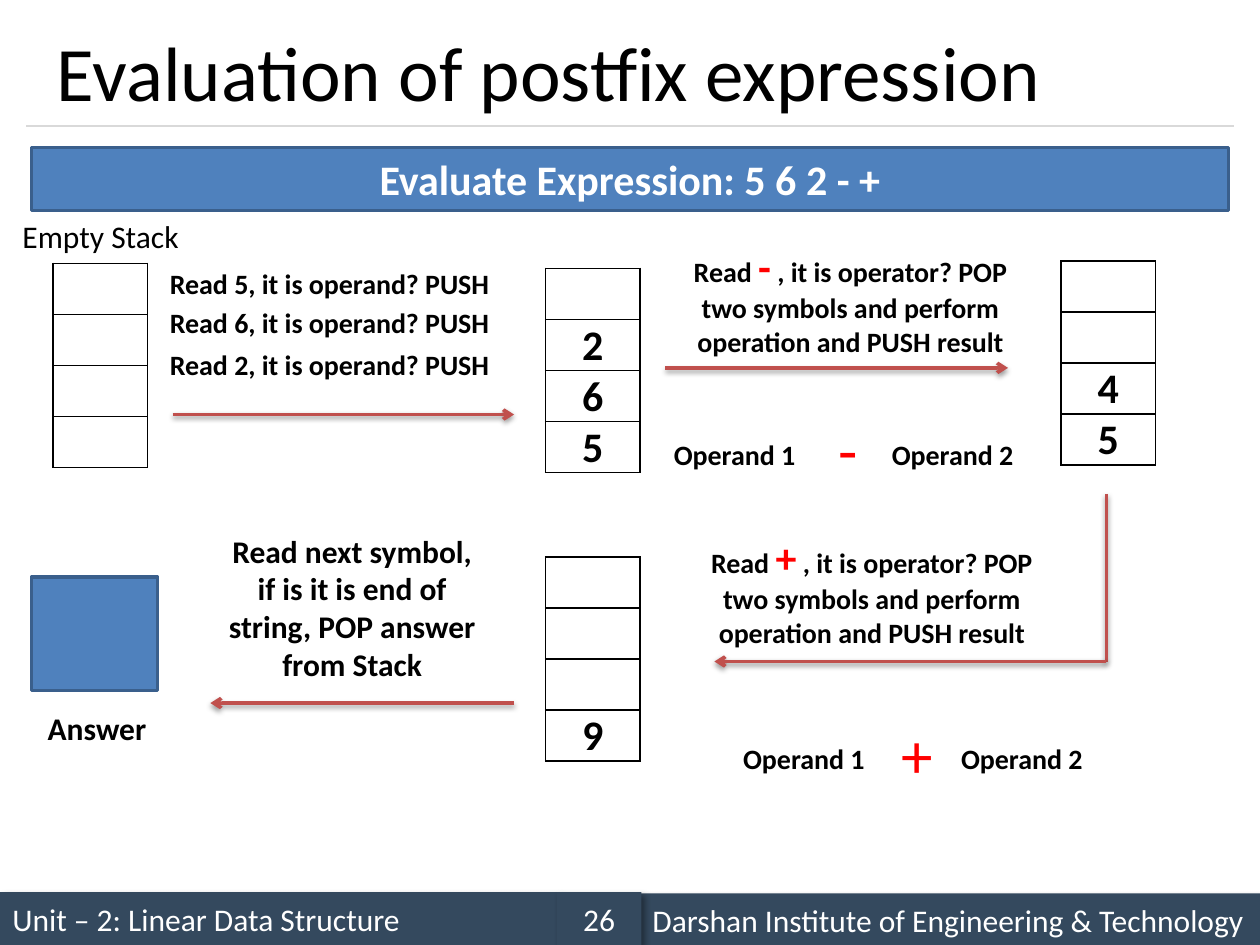
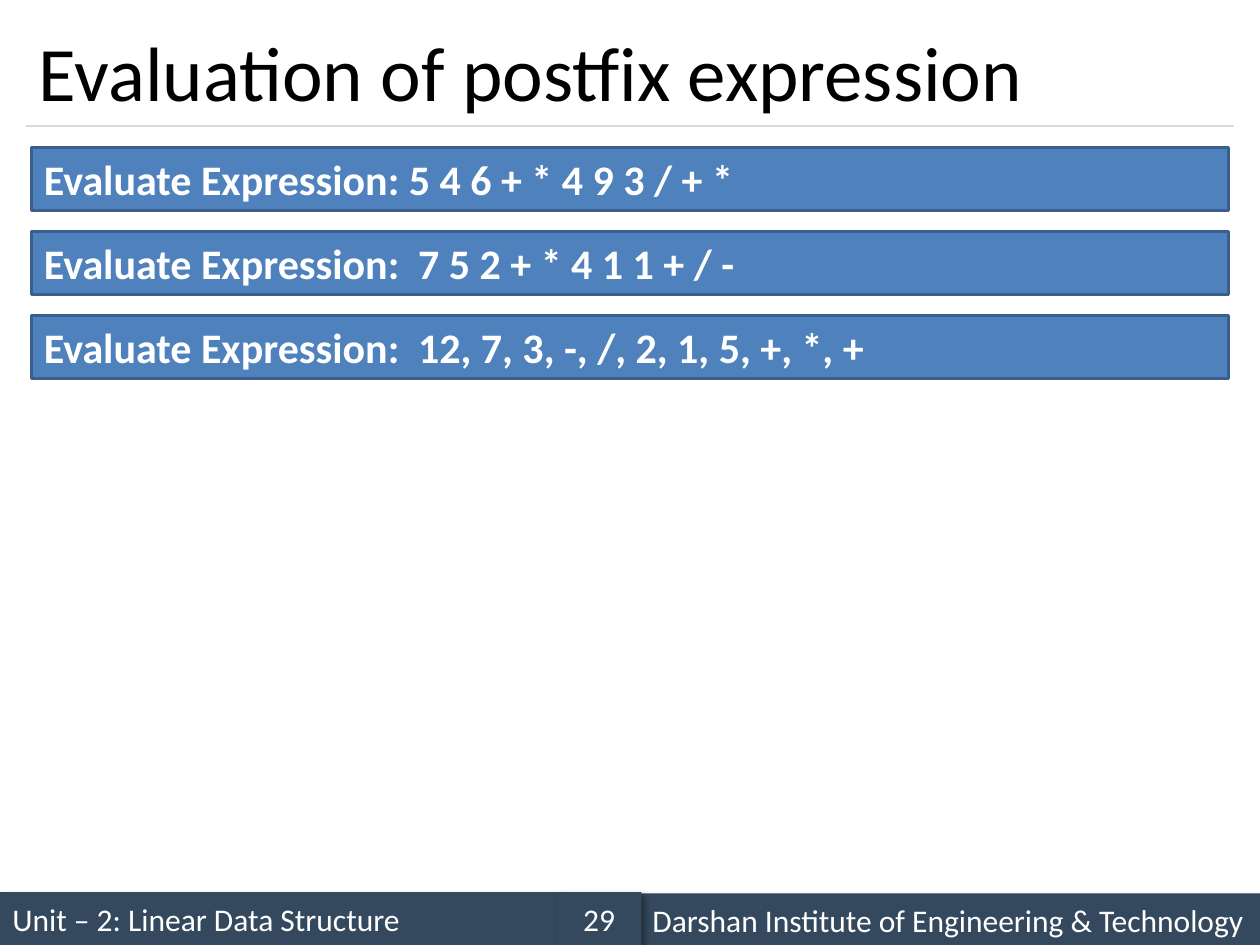
from lxml.etree import SubElement
from pptx import Presentation
from pptx.dml.color import RGBColor
from pptx.enum.shapes import MSO_CONNECTOR, MSO_SHAPE
from pptx.enum.text import MSO_ANCHOR, PP_ALIGN
from pptx.oxml import parse_xml
from pptx.oxml.ns import nsdecls, qn
from pptx.util import Inches, Pt

HUES = {
    "black": "000000", "white": "FFFFFF", "red": "FF0000",
    "slate": "34495E", "blue": "4F81BD", "edge": "3A5F8C",
    "arrow": "C0504D", "rule": "D9D9D9",
}
FORMS = {
    "title": {"size": Pt(44)},
    "foot": {"size": Pt(18)},
    "plain": {"size": Pt(18)},
    "label": {"size": Pt(18), "bold": True},
    "step": {"size": Pt(16), "bold": True},
    "head": {"size": Pt(24), "bold": True},
    "sign": {"size": Pt(36)},
}
LEFT, MID = PP_ALIGN.LEFT, PP_ALIGN.CENTER
FOOT_SHADE = (40, 4, 3, 45)
LINE_SHADE = (38, 3.1, 1.6, 90)
STACK_W, STACK_H, ROWS = 0.75, 1.62, 4
ROW_H = STACK_H / ROWS


def hue(name):
    return RGBColor.from_string(HUES[name])


def shade(shape, values=None):
    effects = SubElement(shape.element.spPr, qn("a:effectLst"))
    if values:
        alpha, blur, dist, angle = values
        outer = SubElement(effects, qn("a:outerShdw"), blurRad=str(Pt(blur)),
                           dist=str(Pt(dist)), dir=str(angle * 60000),
                           rotWithShape="0")
        tint = SubElement(outer, qn("a:srgbClr"), val=HUES["black"])
        SubElement(tint, qn("a:alpha"), val=str(alpha * 1000))


def write(shape, runs, align=LEFT, anchor=MSO_ANCHOR.TOP, tab=None):
    frame = shape.text_frame
    frame.word_wrap = True
    frame.vertical_anchor = anchor
    para = frame.paragraphs[0]
    para.alignment = align
    if tab:
        stops = SubElement(para._p.get_or_add_pPr(), qn("a:tabLst"))
        SubElement(stops, qn("a:tab"), pos=str(Inches(tab)), algn="l")
    for text, form, tint in runs:
        run = para.add_run()
        run.text = text
        run.font.name = "Calibri"
        run.font.color.rgb = hue(tint)
        for key, value in FORMS[form].items():
            setattr(run.font, key, value)


def add_text(slide, spot, runs, align=LEFT, anchor=MSO_ANCHOR.TOP):
    box = slide.shapes.add_textbox(*map(Inches, spot))
    write(box, runs, align, anchor)
    return box


def add_block(slide, spot, fill, edge=None, shadow=None):
    block = slide.shapes.add_shape(MSO_SHAPE.RECTANGLE, *map(Inches, spot))
    block.fill.solid()
    block.fill.fore_color.rgb = hue(fill)
    if edge:
        block.line.color.rgb = hue(edge)
        block.line.width = Pt(2)
    else:
        block.line.fill.background()
    shade(block, shadow)
    return block


def add_bar(slide, top, text, align=LEFT):
    bar = add_block(slide, (0.25, top, 9.5, 0.5), "blue", "edge")
    write(bar, [(text, "head", "white")], align,
          tab=2.97 if "\t" in text else None)


def add_line(slide, start, end, tint="arrow", width=2, head=True,
             shadow=LINE_SHADE):
    line = slide.shapes.add_connector(
        MSO_CONNECTOR.STRAIGHT, *map(Inches, start + end))
    line.line.color.rgb = hue(tint)
    line.line.width = Pt(width)
    if head:
        stroke = line.element.spPr.find(qn("a:ln"))
        SubElement(stroke, qn("a:tailEnd"), type="arrow")
    shade(line, shadow)


def add_stack(slide, left, top, items=()):
    spot = map(Inches, (left, top, STACK_W, STACK_H))
    table = slide.shapes.add_table(ROWS, 1, *spot).table
    table.first_row = table.horz_banding = False
    for row in table.rows:
        row.height = Inches(ROW_H)
        cell = row.cells[0]
        cell.fill.background()
        props = cell._tc.get_or_add_tcPr()
        for place, side in enumerate("LRTB"):
            props.insert(place, parse_xml(
                f'<a:ln{side} {nsdecls("a")} w="{Pt(1)}"><a:solidFill>'
                f'<a:srgbClr val="{HUES["black"]}"/></a:solidFill></a:ln{side}>'))
    for row, item in enumerate(items, ROWS - len(items)):
        add_text(slide, (left, top + row * ROW_H - 0.06, STACK_W, 0.5),
                 [(item, "head", "black")], MID)


def add_step(slide, left, top, sign):
    runs = [
        ("Read ", "step", "black"),
        (sign, "head", "red"),
        (" , it is operator? POP two symbols and perform operation "
         "and PUSH result", "step", "black"),
    ]
    add_text(slide, (left, top, 3, 1.04), runs, MID)


def add_sum(slide, left, top, sign):
    for number, shift in ((1, 0), (2, 1.73)):
        add_text(slide, (left + shift, top, 1.23, 0.37),
                 [(f"Operand {number}", "step", "black")])
    add_text(slide, (left + 1.23, top - 0.21, 0.5, 0.71),
             [(sign, "sign", "red")], MID)


def add_page(deck, number, indent=0.1):
    slide = deck.slides.add_slide(deck.slide_layouts[6])
    feet = [
        (0, 7.08, 4.42, "Unit – 2: Linear Data Structure", LEFT),
        (5.08, 7.09, 4.92, "Darshan Institute of Engineering & Technology", LEFT),
        (4.42, 7.08, 0.67, str(number), MID),
    ]
    for left, top, width, text, align in feet:
        foot = add_block(slide, (left, top, width, 0.42), "slate",
                         shadow=FOOT_SHADE)
        write(foot, [(text, "foot", "white")], align, MSO_ANCHOR.MIDDLE)
    add_line(slide, (0.21, 1), (9.79, 1), "rule", 0.75, False, None)
    title = add_text(slide, (0.21, 0.12, 9.58, 0.88),
                     [("Evaluation of postfix expression", "title", "black")],
                     anchor=MSO_ANCHOR.MIDDLE)
    title.text_frame.margin_left = Inches(indent)
    return slide


def draw_trace(deck):
    slide = add_page(deck, 26, 0.24)
    add_bar(slide, 1.17, "Evaluate Expression: 5 6 2 - +", MID)

    add_text(slide, (0.08, 1.67, 1.58, 0.4), [("Empty Stack", "plain", "black")])
    add_stack(slide, 0.42, 2.09)
    for digit, top in zip("562", (2.07, 2.38, 2.71)):
        add_text(slide, (1.25, top, 3, 0.37),
                 [(f"Read {digit}, it is operand? PUSH", "step", "black")])
    add_line(slide, (1.37, 3.29), (4.08, 3.29))

    add_stack(slide, 4.33, 2.13, "265")
    add_step(slide, 5.25, 1.86, "-")
    add_line(slide, (5.28, 2.92), (8, 2.92))
    add_sum(slide, 5.25, 3.42, "-")

    add_stack(slide, 8.42, 2.07, "45")
    add_line(slide, (8.78, 3.92), (8.78, 5.25), head=False)
    add_line(slide, (8.78, 5.25), (5.67, 5.25))
    add_step(slide, 5.42, 4.17, "+")
    add_sum(slide, 5.8, 5.84, "+")

    add_stack(slide, 4.33, 4.42, "9")
    add_line(slide, (4.08, 5.58), (1.67, 5.58))
    add_text(slide, (1.67, 4.17, 2.25, 1.31),
             [("Read next symbol, if is it is end of string, "
               "POP answer from Stack", "label", "black")], MID)
    add_block(slide, (0.25, 4.58, 1, 0.9), "blue", "edge")
    add_text(slide, (0.21, 5.58, 1.12, 0.4), [("Answer", "label", "black")], MID)


def draw_tasks(deck):
    slide = add_page(deck, 29)
    tasks = (
        "Evaluate Expression: 5 4 6 + * 4 9 3 / + *",
        "Evaluate Expression:\t7 5 2 + * 4 1 1 + / -",
        "Evaluate Expression:\t12, 7, 3, -, /, 2, 1, 5, +, *, +",
    )
    for place, task in enumerate(tasks):
        add_bar(slide, 1.17 + place * 2 / 3, task)


def main():
    deck = Presentation()
    deck.slide_width, deck.slide_height = Inches(10), Inches(7.5)
    draw_trace(deck)
    draw_tasks(deck)
    deck.save("out.pptx")


if __name__ == "__main__":
    main()
